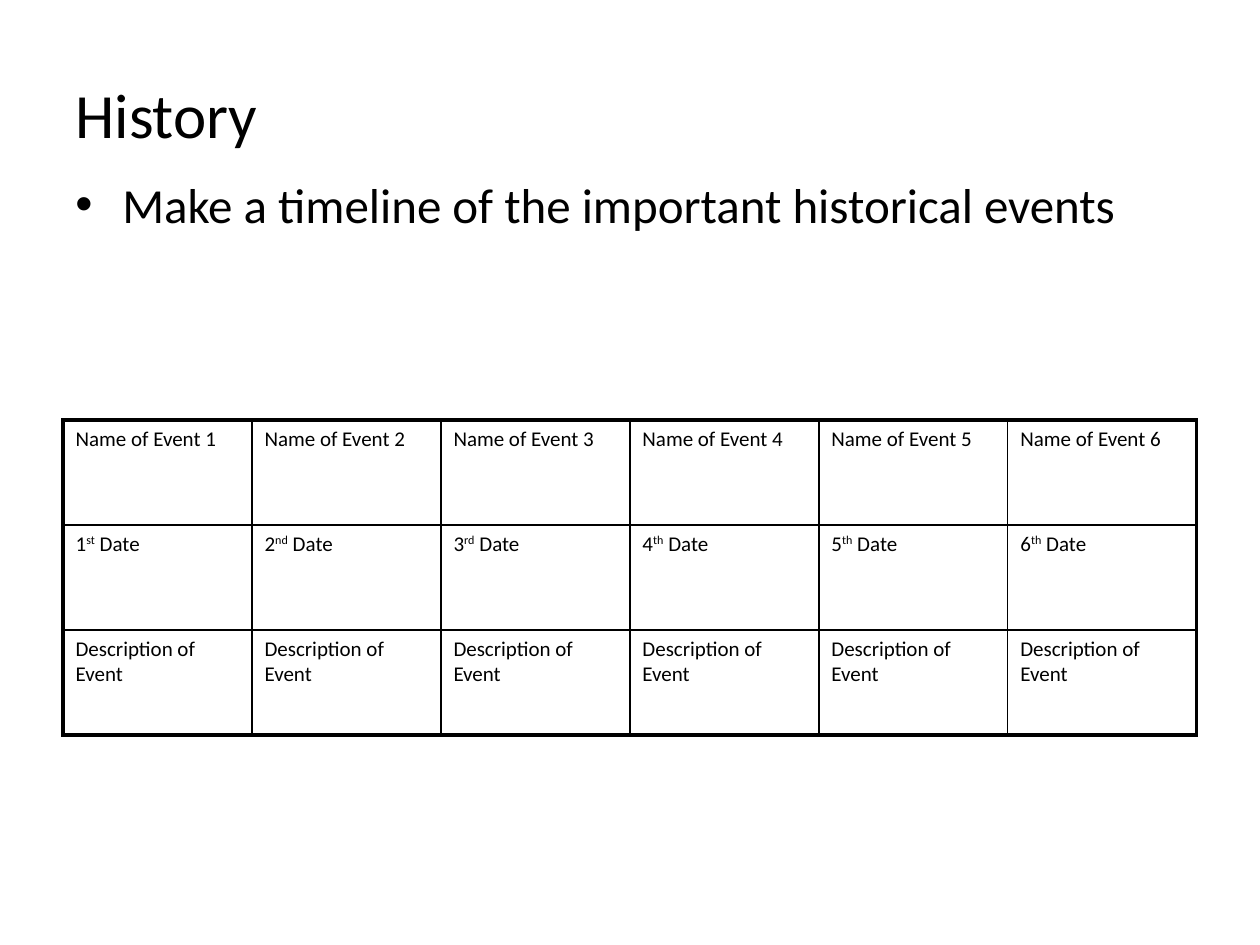
from dataclasses import dataclass

from lxml import etree
from pptx import Presentation
from pptx.dml.color import RGBColor
from pptx.enum.text import MSO_ANCHOR
from pptx.oxml import parse_xml
from pptx.oxml.ns import nsdecls, qn
from pptx.util import Pt

PX = 914400 // 126
BOTTOM = MSO_ANCHOR.BOTTOM


@dataclass(frozen=True)
class Theme:
    font: str = "Calibri"
    ink: str = "000000"
    title: int = 36
    body: int = 28
    cell: int = 12
    outer_line: float = 2.25
    inner_line: float = 1


theme = Theme()


def write(para, parts, size, space_before=True):
    """Fill a paragraph; every second part is superscript."""
    para.font.name = theme.font
    para.font.size = Pt(size)
    para.font.color.rgb = RGBColor.from_string(theme.ink)
    for index, part in enumerate(parts):
        span = para.add_run()
        span.text = part
        if index % 2:
            span._r.get_or_add_rPr().set("baseline", "30000")
    if space_before:
        para._p.get_or_add_pPr().insert(0, parse_xml(
            f'<a:spcBef {nsdecls("a")}><a:spcPct val="20000"/></a:spcBef>'))


def add_border(cell, position, side, width):
    cell._tc.get_or_add_tcPr().insert(position, parse_xml(
        f'<a:{side} {nsdecls("a")} w="{Pt(width)}"><a:solidFill>'
        f'<a:srgbClr val="{theme.ink}"/></a:solidFill></a:{side}>'))


deck = Presentation()
deck.slide_width, deck.slide_height = 1260 * PX, 945 * PX
page = deck.slides.add_slide(deck.slide_layouts[6])

# Title
box = page.shapes.add_textbox(63 * PX, 10 * PX, 935 * PX, 147 * PX)
box.text_frame.word_wrap = True
box.text_frame.vertical_anchor = BOTTOM
write(box.text_frame.paragraphs[0], ["History"], theme.title, space_before=False)

# Bulleted instruction
box = page.shapes.add_textbox(63 * PX, 168 * PX, 1134 * PX, 157 * PX)
box.text_frame.word_wrap = True
para = box.text_frame.paragraphs[0]
write(para, ["Make a timeline of the important historical events"], theme.body)
properties = para._p.get_or_add_pPr()
properties.set("marL", str(47 * PX))
properties.set("indent", str(-47 * PX))
bullet_font = etree.Element(qn("a:buFont"), typeface="Arial")
bullet = etree.Element(qn("a:buChar"), char="•")
properties.insert(1, bullet_font)
properties.insert(2, bullet)

# Timeline table: names, dates and descriptions
ordinals = ["st", "nd", "rd", "th", "th", "th"]
rows = [
    [[f"Name of Event {number}"] for number in range(1, 7)],
    [[str(number), suffix, " Date"] for number, suffix in enumerate(ordinals, 1)],
    [["Description of Event"]] * 6,
]
last_row, last_column = len(rows) - 1, len(ordinals) - 1
table = page.shapes.add_table(len(rows), len(ordinals), 63 * PX, 420 * PX,
                              1134 * PX, 315 * PX).table
table.first_row = table.horz_banding = False
for column in table.columns:
    column.width = 189 * PX
for row in table.rows:
    row.height = 105 * PX

for r, row in enumerate(rows):
    for c, parts in enumerate(row):
        cell = table.cell(r, c)
        cell.fill.background()
        write(cell.text_frame.paragraphs[0], parts, theme.cell)
        on_edge = {"lnL": c == 0, "lnR": c == last_column,
                   "lnT": r == 0, "lnB": r == last_row}
        for position, (side, outer) in enumerate(on_edge.items()):
            width = theme.outer_line if outer else theme.inner_line
            add_border(cell, position, side, width)

deck.save("out.pptx")
